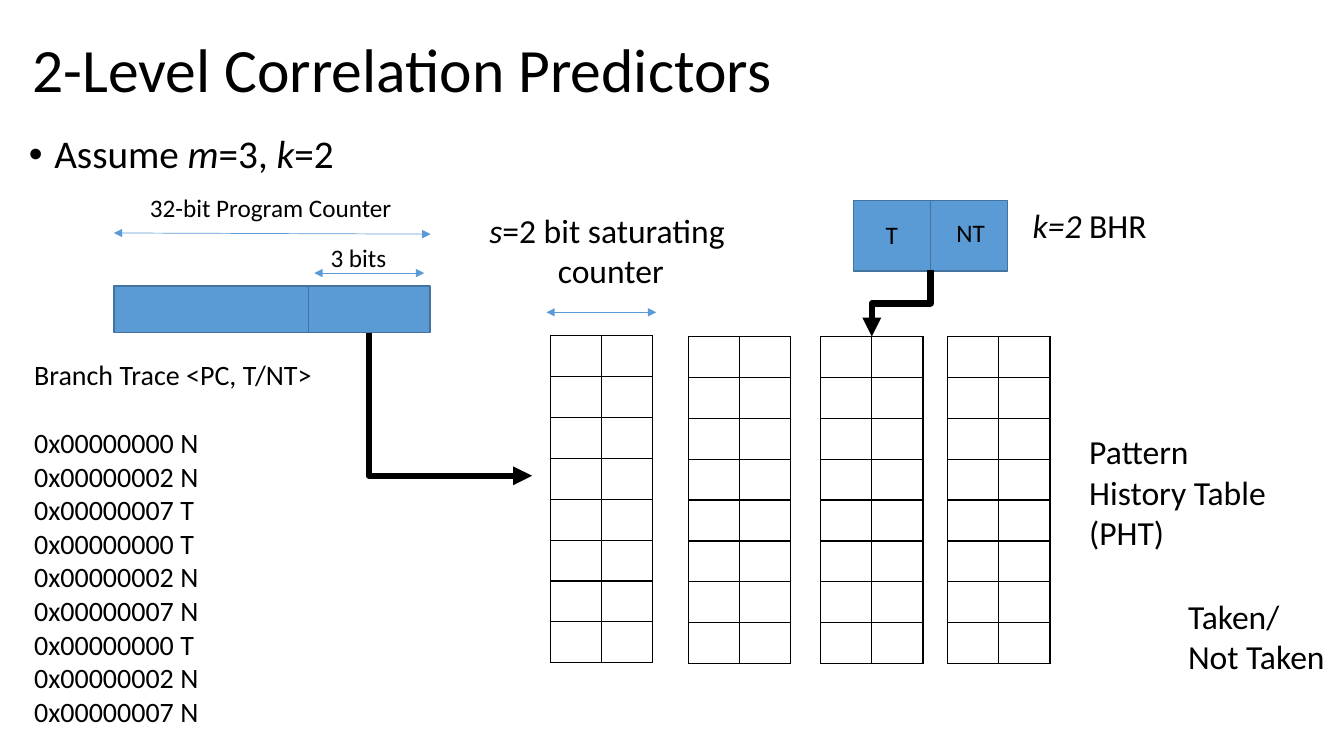
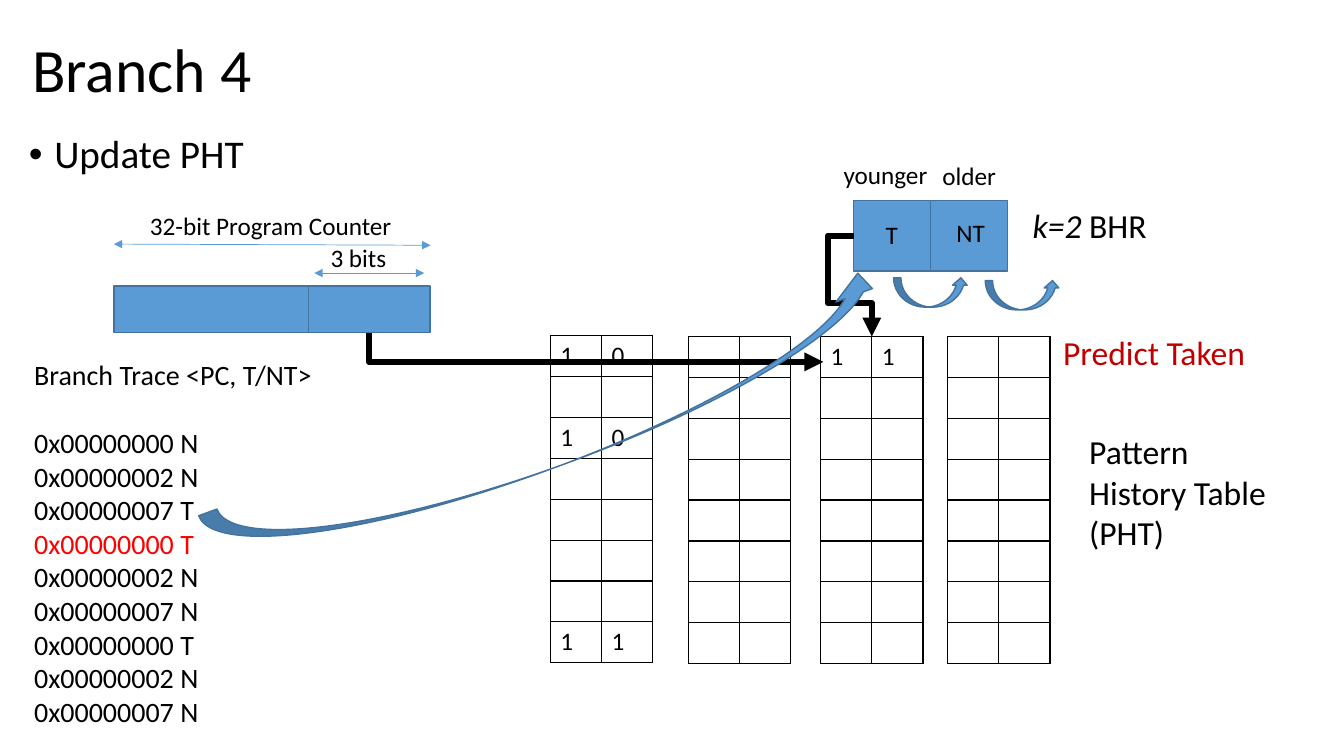
"""Build two slides on two-level correlating branch predictors."""
from dataclasses import dataclass

from lxml import etree
from pptx import Presentation
from pptx.dml.color import RGBColor
from pptx.enum.shapes import MSO_CONNECTOR, MSO_SHAPE
from pptx.enum.text import MSO_ANCHOR, MSO_AUTO_SIZE, PP_ALIGN
from pptx.oxml.ns import qn
from pptx.util import Cm, Pt

LEFT, CENTER = PP_ALIGN.LEFT, PP_ALIGN.CENTER
MIDDLE = MSO_ANCHOR.MIDDLE
FIT_TEXT = MSO_AUTO_SIZE.SHAPE_TO_FIT_TEXT
STRAIGHT, ELBOW = MSO_CONNECTOR.STRAIGHT, MSO_CONNECTOR.ELBOW
RECTANGLE, CURVED_ARROW = MSO_SHAPE.RECTANGLE, MSO_SHAPE.CURVED_RIGHT_ARROW
TITLE_ONLY = 5


@dataclass(frozen=True)
class Theme:
    """Hold the colours, font and type sizes of the deck."""
    font: str = "Calibri"
    ink: str = "000000"
    fill: str = "5B9BD5"
    outline: str = "43739E"
    current: str = "FF0000"
    prediction: str = "C00000"
    title: int = 44
    bullet: int = 28
    caption: int = 24
    trace: int = 20
    label: int = 18


THEME = Theme()

TRACE_TITLE = "Branch Trace <PC, T/NT>"
TRACE = [
    "0x00000000 N", "0x00000002 N", "0x00000007 T",
    "0x00000000 T", "0x00000002 N", "0x00000007 N",
    "0x00000000 T", "0x00000002 N", "0x00000007 N",
]
REGISTERS = [
    (2.87, 7.21, 4.9, 1.17), (7.77, 7.21, 3.07, 1.17),
    (21.51, 5.05, 1.94, 1.78), (23.45, 5.05, 1.94, 1.78),
]
PHT_ORIGINS = [(13.87, 8.46), (17.35, 8.48), (20.68, 8.48), (23.88, 8.48)]
PHT_ROWS, COUNTER_BITS = 8, 2
ROW_HEIGHT, BIT_WIDTH = 1.03, 1.29
PC_LEFT, PC_RIGHT = 2.87, 10.85
INDEX_START, BHR_END = (9.3, 8.38), (21.97, 8.48)

SHARED_LABELS = [
    ("3 bits", (8.08, 5.99, 1.93, 1.02), {}),
    ("T", (22.07, 5.41, 0.81, 1.02), {}),
    ("NT", (23.85, 5.36, 1.24, 1.02), {}),
    ("*k=2 *BHR", (25.76, 5.05, 3.4, 1.27),
     dict(size=THEME.caption, align=CENTER)),
    ("Pattern History Table (PHT)", (27.2, 10.74, 5.11, 3.33),
     dict(size=THEME.caption, wrap=True)),
]

SLIDES = [
    dict(
        title="2-Level Correlation Predictors",
        bullet="Assume *m*=3, *k*=2",
        pc_label_top=4.72, pc_arrow_top=5.87,
        counters={},
        current=None,
        labels=[
            ("*s*=2 bit saturating \ncounter", (12.04, 5.16, 6.71, 2.31),
             dict(size=THEME.caption, align=CENTER)),
            ("Taken/\nNot Taken", (29.69, 14.88, 3.99, 2.31),
             dict(size=THEME.caption)),
        ],
        spans=[((13.77, 7.87), (16.54, 7.87))],
        index_end=(13.41, 11.99),
        history=dict(start=(23.45, 6.81), preset="bentConnector3",
                     rotation=90, adjust=(0.5,)),
        shifts=[],
    ),
    dict(
        title="Branch 4",
        bullet="Update PHT",
        pc_label_top=5.18, pc_arrow_top=6.15,
        counters={0: {0: "10", 2: "10", 7: "11"}, 2: {0: "11"}},
        current=3,
        labels=[
            ("Predict Taken", (26.54, 8.23, 5.16, 1.27),
             dict(size=THEME.caption, color=THEME.prediction)),
            ("older", (23.5, 3.91, 4.17, 1.02), dict(wrap=True)),
            ("younger", (21.01, 3.89, 4.17, 1.02), dict(wrap=True)),
        ],
        spans=[],
        index_end=(20.75, 9.12),
        history=dict(start=(21.51, 5.94), preset="bentConnector4",
                     adjust=(-1.41, 0.67)),
        shifts=[
            ((23.09, 6.43, 0.74, 1.88), 270),
            ((25.4, 6.5, 0.74, 1.88), 270),
            ((12.9, 1.68, 1.96, 18.19), 249.8),
        ],
    ),
]


def rgb(color):
    """Turn a hex string into a colour."""
    return RGBColor.from_string(color)


def cm(values):
    """Turn numbers into lengths."""
    return [Cm(value) for value in values]


def write(frame, text, *, size=THEME.label, color=THEME.ink, align=LEFT,
          wrap=False, spacing=None):
    """Write text whose lines are paragraphs and whose *parts* are italic."""
    frame.word_wrap = wrap
    for number, line in enumerate(text.split("\n")):
        paragraph = frame.add_paragraph() if number else frame.paragraphs[0]
        paragraph.alignment = align
        paragraph.line_spacing = spacing
        for position, part in enumerate(line.split("*")):
            if part:
                run = paragraph.add_run()
                run.text = part
                run.font.name = THEME.font
                run.font.size = Pt(size)
                run.font.color.rgb = rgb(color)
                run.font.italic = position % 2 == 1
    return frame.paragraphs


def add_label(slide, text, box, **style):
    """Add a text box and return its paragraphs."""
    frame = slide.shapes.add_textbox(*cm(box)).text_frame
    paragraphs = write(frame, text, **style)
    frame.auto_size = FIT_TEXT
    return paragraphs


def add_heading(slide, title, bullet):
    """Format the title and add the bullet line below it."""
    heading = slide.shapes.title
    heading.left, heading.top, heading.width, heading.height = cm(
        (0.56, 0, 29.21, 3.68))
    heading.text_frame.vertical_anchor = MIDDLE
    write(heading.text_frame, title, size=THEME.title, wrap=True, spacing=0.9)

    point = add_label(slide, bullet, (0.48, 3.28, 29.21, 1.4),
                      size=THEME.bullet, wrap=True, spacing=0.9)[0]
    point.space_before = Pt(10)
    properties = point._p.get_or_add_pPr()
    properties.set("marL", str(Cm(0.64)))
    properties.set("indent", str(-Cm(0.64)))
    etree.SubElement(properties, qn("a:buFont"), typeface="Arial")
    etree.SubElement(properties, qn("a:buChar"), char="•")


def add_block(slide, preset, box, rotation=0):
    """Add a filled, outlined shape."""
    block = slide.shapes.add_shape(preset, *cm(box))
    block.rotation = rotation
    block.shadow.inherit = False
    block.fill.solid()
    block.fill.fore_color.rgb = rgb(THEME.fill)
    block.line.color.rgb = rgb(THEME.outline)
    block.line.width = Pt(1)


def add_arrow(slide, kind, start, end, color, width, ends):
    """Add a connector with triangle heads at the named ends."""
    arrow = slide.shapes.add_connector(kind, *cm((*start, *end)))
    arrow.line.color.rgb = rgb(color)
    arrow.line.width = Pt(width)
    for name in ends:
        etree.SubElement(arrow.line._ln, qn(name), type="triangle")
    etree.SubElement(arrow._element.spPr, qn("a:effectLst"))
    return arrow


def add_span(slide, start, end):
    """Add a thin arrow that measures a width."""
    add_arrow(slide, STRAIGHT, start, end, THEME.fill, 0.5,
              ("a:headEnd", "a:tailEnd"))


def add_elbow(slide, start, end, preset, rotation=0, flip=False, adjust=()):
    """Add a thick bent arrow from start to end."""
    width, height = abs(end[0] - start[0]), abs(end[1] - start[1])
    if rotation in (90, 270):
        width, height = height, width
    left = (start[0] + end[0] - width) / 2
    top = (start[1] + end[1] - height) / 2
    elbow = add_arrow(slide, ELBOW, (left, top), (left + width, top + height),
                      THEME.ink, 4.5, ("a:tailEnd",))
    properties = elbow._element.spPr
    frame = properties.find(qn("a:xfrm"))
    if rotation:
        frame.set("rot", str(rotation * 60000))
    if flip:
        frame.set("flipH", "1")
    geometry = properties.find(qn("a:prstGeom"))
    geometry.set("prst", preset)
    guides = geometry.find(qn("a:avLst"))
    for number, share in enumerate(adjust, 1):
        etree.SubElement(guides, qn("a:gd"), name=f"adj{number}",
                         fmla=f"val {round(share * 100000)}")


def add_counters(slide, origin, values):
    """Add one column of saturating counters to the pattern history table."""
    size = (BIT_WIDTH * COUNTER_BITS, ROW_HEIGHT * PHT_ROWS)
    counters = slide.shapes.add_table(
        PHT_ROWS, COUNTER_BITS, *cm((*origin, *size))).table
    counters.first_row = counters.horz_banding = False
    for column in counters.columns:
        column.width = Cm(BIT_WIDTH)
    for number, row in enumerate(counters.rows):
        row.height = Cm(ROW_HEIGHT)
        bits = values.get(number, "")
        for position, cell in enumerate(row.cells):
            write(cell.text_frame, bits[position:position + 1], wrap=True)
            properties = cell._tc.get_or_add_tcPr()
            for side in ("a:lnL", "a:lnR", "a:lnT", "a:lnB"):
                border = etree.SubElement(properties, qn(side),
                                          w=str(Pt(1)))
                solid = etree.SubElement(border, qn("a:solidFill"))
                etree.SubElement(solid, qn("a:srgbClr"), val=THEME.ink)
            cell.fill.background()


def add_trace(slide, current):
    """List the branch trace and mark the current branch."""
    lines = add_label(slide, "\n".join([TRACE_TITLE, *TRACE]),
                      (0.61, 8.89, 9.4, 9.8), size=THEME.trace, wrap=True)
    lines[1].space_before = Pt(24.4)
    if current is not None:
        lines[current + 1].runs[0].font.color.rgb = rgb(THEME.current)


def build_slide(deck, content):
    """Build one predictor slide from its content."""
    slide = deck.slides.add_slide(deck.slide_layouts[TITLE_ONLY])
    add_heading(slide, content["title"], content["bullet"])
    for number, origin in enumerate(PHT_ORIGINS):
        add_counters(slide, origin, content["counters"].get(number, {}))
    for box in REGISTERS:
        add_block(slide, RECTANGLE, box)

    pc_top = content["pc_arrow_top"]
    add_span(slide, (PC_LEFT, pc_top), (PC_RIGHT, pc_top + 0.03))
    add_span(slide, (7.92, 6.88), (10.69, 6.88))
    for start, end in content["spans"]:
        add_span(slide, start, end)
    add_elbow(slide, INDEX_START, content["index_end"], "bentConnector2",
              rotation=270, flip=True)
    add_elbow(slide, end=BHR_END, **content["history"])

    add_label(slide, "32-bit Program Counter",
              (3.53, content["pc_label_top"], 6.65, 1.02))
    for text, box, style in SHARED_LABELS + content["labels"]:
        add_label(slide, text, box, **style)
    add_trace(slide, content["current"])
    for box, rotation in content["shifts"]:
        add_block(slide, CURVED_ARROW, box, rotation)


def main():
    """Build and save the deck."""
    deck = Presentation()
    deck.slide_width, deck.slide_height = cm((33.87, 19.05))
    for content in SLIDES:
        build_slide(deck, content)
    deck.save("out.pptx")


if __name__ == "__main__":
    main()
